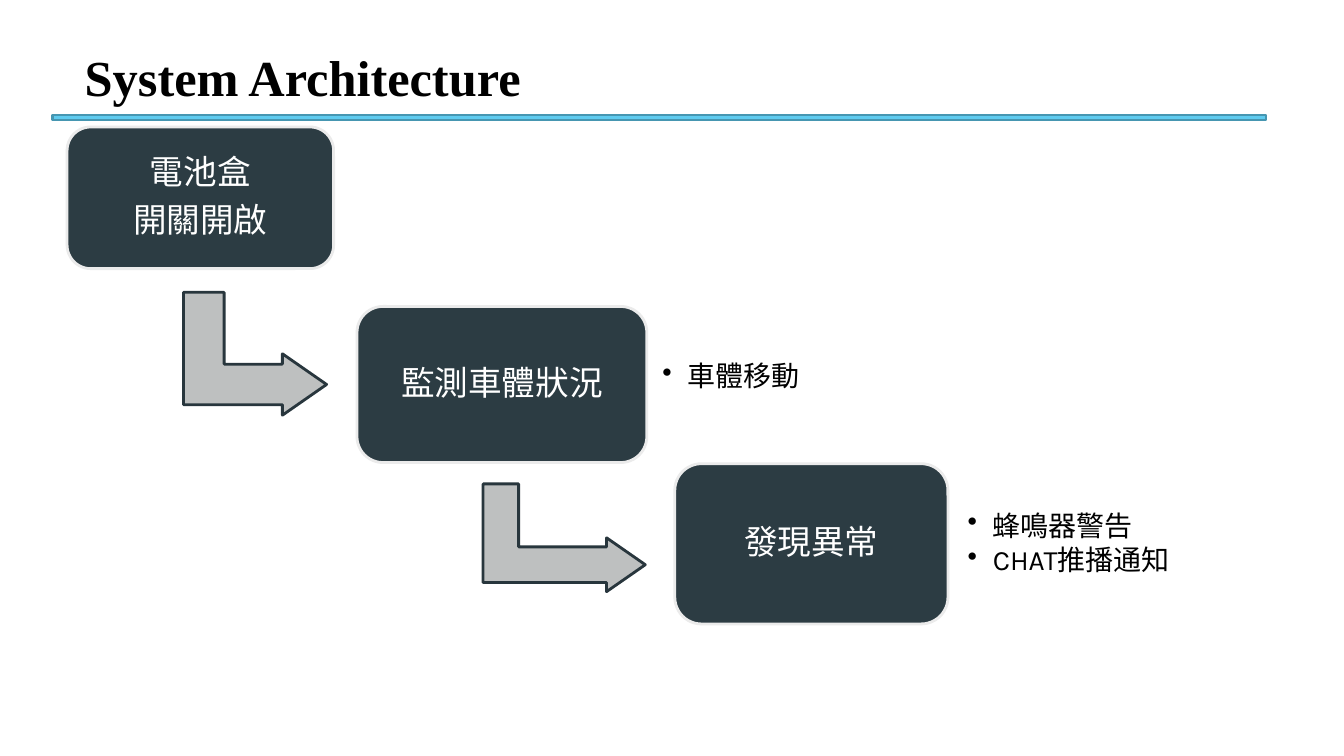
import pptx
import pptx.util
import pptx.dml.color
import pptx.enum.shapes
import pptx.enum.text
import pptx.oxml.ns
from lxml import etree

Pt = pptx.util.Pt
SHAPE = pptx.enum.shapes.MSO_SHAPE
ALIGN = pptx.enum.text.PP_ALIGN
MIDDLE = pptx.enum.text.MSO_ANCHOR.MIDDLE


def colour(value):
    return pptx.dml.color.RGBColor.from_string(value)


class FlowPage:
    """Holds the style and the current slide; all lengths are points."""
    title_font, body_font = "Times New Roman", "Karla"
    black, white = "000000", "FFFFFF"
    step_fill, step_line = "2C3C43", "EBEBEB"
    arrow_fill, arrow_line = "BEC0C0", "28363D"
    rule_fill, rule_line = "5FCBEF", "4696B1"

    def __init__(self, deck):
        self.page = deck.slides.add_slide(deck.slide_layouts[5])

    def shape(self, kind, place, fill, line, weight):
        shape = self.page.shapes.add_shape(kind, *map(Pt, place))
        shape.shadow.inherit = False
        shape.fill.solid()
        shape.fill.fore_color.rgb = colour(fill)
        shape.line.color.rgb = colour(line)
        shape.line.width = Pt(weight)
        return shape

    def set_text(self, box, text, size, ink, font, align, inset, bold=False):
        """Fills and formats a box, and returns its paragraphs."""
        frame = box.text_frame
        frame.word_wrap = True
        frame.vertical_anchor = MIDDLE
        frame.margin_left = frame.margin_right = Pt(inset)
        frame.margin_top = frame.margin_bottom = Pt(inset)
        frame.text = text
        for para in frame.paragraphs:
            para.alignment = align
            for span in para.runs:
                span.font.size = Pt(size)
                span.font.name = font
                span.font.bold = bold
                span.font.color.rgb = colour(ink)
        return frame.paragraphs

    def title(self, text, place):
        box = self.page.shapes.title
        box.left, box.top, box.width, box.height = map(Pt, place)
        self.set_text(box, text, 36, self.black, self.title_font,
                      ALIGN.LEFT, 7.2, bold=True)

    def rule(self, place):
        self.shape(SHAPE.RECTANGLE, place, self.rule_fill, self.rule_line, 1.5)

    def step(self, text, place):
        box = self.shape(SHAPE.ROUNDED_RECTANGLE, place,
                         self.step_fill, self.step_line, 2)
        for para in self.set_text(box, text, 24, self.white, self.body_font,
                                  ALIGN.CENTER, 7.2):
            para.line_spacing = 0.9
            para.space_after = Pt(8.4)

    def arrow(self, place):
        """Draws an arrow that goes down and then right; place is before rotation."""
        arrow = self.shape(SHAPE.BENT_UP_ARROW, place,
                           self.arrow_fill, self.arrow_line, 2)
        arrow.rotation = 90
        for index, value in enumerate((0.33, 0.25, 0.36)):
            arrow.adjustments[index] = value

    def bullets(self, text, place):
        box = self.page.shapes.add_textbox(*map(Pt, place))
        for para in self.set_text(box, text, 20, self.black, self.body_font,
                                  ALIGN.LEFT, 5.8):
            para.line_spacing = 0.9
            para.space_after = Pt(3)
            properties = para._p.get_or_add_pPr()
            properties.set("marL", str(Pt(18)))
            properties.set("indent", str(-Pt(18)))
            bullet = etree.SubElement(properties, pptx.oxml.ns.qn("a:buChar"))
            bullet.set("char", "•")


def main():
    deck = pptx.Presentation()
    deck.slide_width, deck.slide_height = Pt(960), Pt(540)
    flow = FlowPage(deck)
    flow.rule((37.5, 82.1, 866.9, 3.6))
    flow.title("System Architecture", (53.3, 26.6, 676.8, 56.2))
    flow.step("電池盒\n開關開啟", (47.9, 90.7, 190.4, 101.2))
    flow.arrow((138.3, 201.6, 87.8, 102.2))
    flow.step("監測車體狀況", (255, 218.9, 207, 111.5))
    flow.bullets("車體移動", (467.3, 210.2, 153.4, 119.5))
    flow.arrow((364.5, 326.2, 77, 115.9))
    flow.step("發現異常", (482, 331.2, 195.1, 114.5))
    flow.bullets("蜂鳴器警告\nCHAT推播通知", (685.4, 329, 213.1, 119.5))
    deck.save("out.pptx")


if __name__ == "__main__":
    main()
